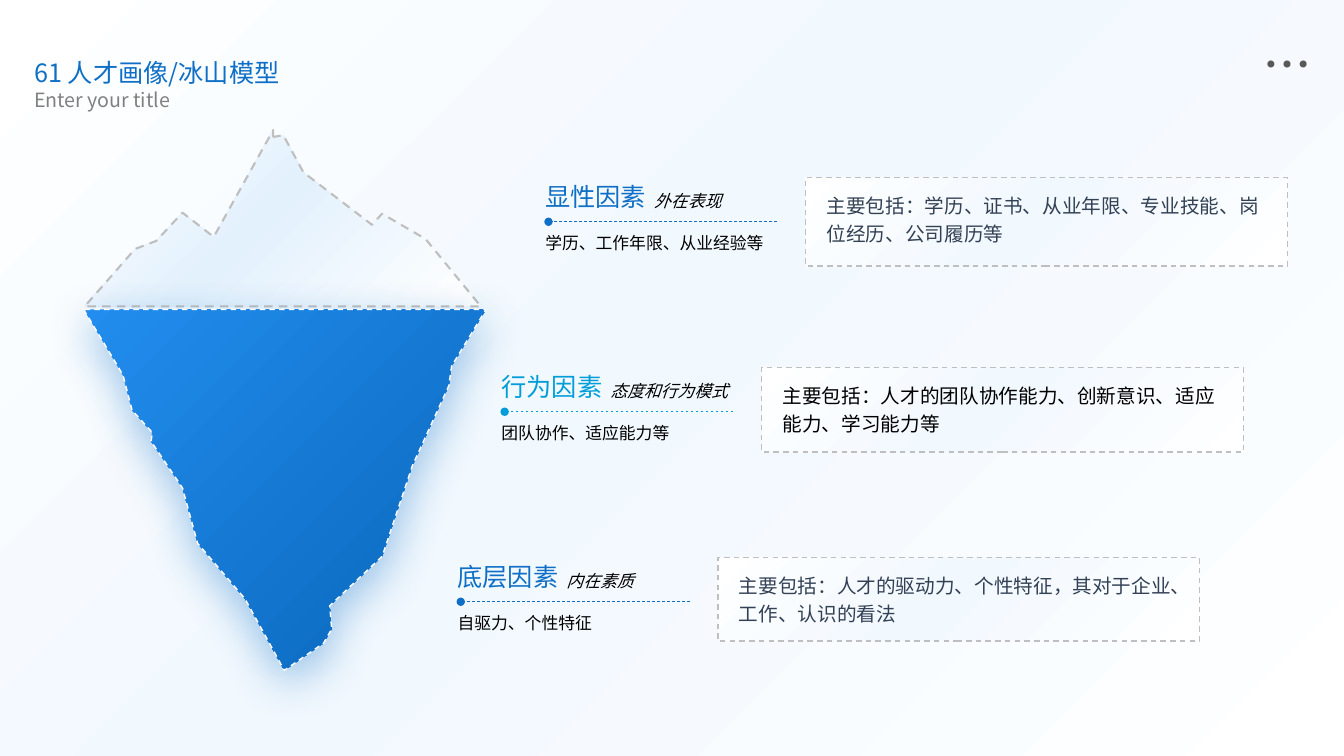
from dataclasses import dataclass

from pptx import Presentation
from pptx.dml.color import RGBColor
from pptx.enum.dml import MSO_LINE_DASH_STYLE as Dash
from pptx.enum.shapes import MSO_CONNECTOR as Connector, MSO_SHAPE as Preset
from pptx.enum.text import MSO_ANCHOR as Anchor, MSO_AUTO_SIZE as AutoSize, PP_ALIGN as Align
from pptx.oxml import parse_xml
from pptx.oxml.ns import qn
from pptx.util import Inches, Pt

NAMESPACE = 'xmlns:a="http://schemas.openxmlformats.org/drawingml/2006/main"'


@dataclass(frozen=True)
class Theme:
    blue: str = "0F6FC6"
    cyan: str = "009DD9"
    bright: str = "228DEE"
    black: str = "000000"
    slate: str = "334155"
    gray: str = "808080"
    dot: str = "595959"
    border: str = "BFBFBF"
    white: str = "FFFFFF"
    pale: str = "F1F8FE"
    ice: str = "E3F1FD"
    cjk: str = "Noto Sans CJK SC"
    latin: str = "Roboto"
    heading: int = 18
    body: int = 14
    small: int = 12


THEME = Theme()
PALE_STOPS = ((0, THEME.white), (46, THEME.pale), (100, THEME.white))
ICE_STOPS = ((0, THEME.white), (46, THEME.ice), (100, THEME.white))
SEA_STOPS = ((23, THEME.blue), (100, THEME.bright))
TOP_LEFT = 'r="100000" b="100000"'
BOTTOM_RIGHT = 'l="100000" t="100000"'

TIP = [(2.71, 1.36), (2.71, 1.29), (2.12, 2.35), (1.81, 2.11), (1.55, 2.39),
       (1.34, 2.47), (0.84, 3.04), (4.77, 3.04), (4.22, 2.37), (3.79, 2.12),
       (3.69, 2.23), (3.01, 1.71), (2.81, 1.34)]
BASE = [(0.83, 3.07), (1.22, 3.72), (1.31, 4.07), (1.51, 4.29), (1.5, 4.38),
        (1.81, 4.84), (1.96, 5.39), (2.43, 5.94), (2.82, 6.65), (3.21, 6.38),
        (3.29, 6.24), (3.27, 6.01), (3.79, 5.52), (4.09, 4.62), (4.45, 3.83),
        (4.48, 3.63), (4.82, 3.07)]

FACTORS = [
    ("显性因素", "外在表现", "学历、工作年限、从业经验等",
     "主要包括：学历、证书、从业年限、专业技能、岗位经历、公司履历等",
     THEME.blue, THEME.latin, THEME.slate, 0.88),
    ("行为因素", "态度和行为模式", "团队协作、适应能力等",
     "主要包括：人才的团队协作能力、创新意识、适应能力、学习能力等",
     THEME.cyan, THEME.cjk, THEME.black, 0.84),
    ("底层因素", "内在素质", "自驱力、个性特征",
     "主要包括：人才的驱动力、个性特征，其对于企业、工作、认识的看法",
     THEME.blue, THEME.latin, THEME.slate, 0.83),
]


def rgb(color):
    return RGBColor.from_string(color)


def fill_gradient(shape, stops, focus):
    marks = "".join(f'<a:gs pos="{position * 1000}"><a:srgbClr val="{color}"/></a:gs>'
                    for position, color in stops)
    gradient = parse_xml(f'<a:gradFill {NAMESPACE} rotWithShape="1"><a:gsLst>{marks}</a:gsLst>'
                         f'<a:path path="circle"><a:fillToRect {focus}/></a:path></a:gradFill>')
    shape.fill.background()
    properties = shape._element.spPr
    properties.replace(properties.find(qn("a:noFill")), gradient)


def dash_line(line, color, width):
    line.color.rgb = rgb(color)
    line.width = Pt(width)
    line.dash_style = Dash.DASH


def add_preset(page, preset, left, top, width, height):
    shape = page.shapes.add_shape(preset, Inches(left), Inches(top), Inches(width), Inches(height))
    shape.shadow.inherit = False
    shape.line.fill.background()
    return shape


def add_outline(page, points, stops, focus, color, width):
    start, *rest = [(Inches(x), Inches(y)) for x, y in points]
    builder = page.shapes.build_freeform(*start)
    builder.add_line_segments(rest, close=True)
    shape = builder.convert_to_shape()
    shape.shadow.inherit = False
    fill_gradient(shape, stops, focus)
    dash_line(shape.line, color, width)
    return shape


def add_glow(shape, color):
    effects = shape._element.spPr.find(qn("a:effectLst"))
    effects.append(parse_xml(
        f'<a:outerShdw {NAMESPACE} blurRad="{Pt(32.4)}" dist="{Pt(9.7)}" dir="5400000" '
        f'algn="t" rotWithShape="0"><a:srgbClr val="{color}"><a:alpha val="40000"/>'
        '</a:srgbClr></a:outerShdw>'))


def write_text(box, text, size, color, font=THEME.cjk, italic=None, wrap=True, spacing=None):
    frame = box.text_frame
    frame.word_wrap = wrap
    frame.auto_size = AutoSize.SHAPE_TO_FIT_TEXT
    frame.vertical_anchor = Anchor.TOP
    para = frame.paragraphs[0]
    para.alignment = Align.LEFT
    para.line_spacing = spacing
    span = para.add_run()
    span.text = text
    span.font.size = Pt(size)
    span.font.italic = italic
    span.font.color.rgb = rgb(color)
    span.font.name = font
    span.font._element.find(qn("a:latin")).addnext(
        parse_xml(f'<a:ea {NAMESPACE} typeface="{font}"/>'))


def add_text(page, left, top, width, height, text, size, color, **style):
    box = page.shapes.add_textbox(Inches(left), Inches(top), Inches(width), Inches(height))
    write_text(box, text, size, color, **style)


def add_label(page, left, top, text, size, color, italic=None):
    width = len(text) * size / 72 + 0.2
    height = 0.4 if size == THEME.heading else 0.3
    add_text(page, left, top, width, height, text, size, color, italic=italic, wrap=False)


def add_rule(page, left, right, top, color):
    rule = page.shapes.add_connector(Connector.STRAIGHT, Inches(right), Inches(top),
                                     Inches(left), Inches(top))
    dash_line(rule.line, color, 0.5)
    rule.line._get_or_add_ln().append(parse_xml(f'<a:tailEnd {NAMESPACE} type="oval"/>'))
    rule._element.spPr.append(parse_xml(f'<a:effectLst {NAMESPACE}/>'))


def add_factor(page, left, top, factor):
    name, aside, note, detail, accent, font, color, height = factor
    add_rule(page, left + 0.13, left + 2.4, top + 0.45, accent)
    add_label(page, left, top, name, THEME.heading, accent)
    add_label(page, left, top + 0.51, note, THEME.small, THEME.black)
    add_label(page, left + 1.08, top + 0.09, aside, THEME.small, THEME.black, italic=True)
    card = add_preset(page, Preset.RECTANGLE, left + 2.68, top + 0.01, 4.78, height)
    fill_gradient(card, PALE_STOPS, TOP_LEFT)
    dash_line(card.line, THEME.border, 1)
    add_text(page, left + 2.79, top + 0.08, 4.67, 0.65, detail, THEME.body, color,
             font=font, spacing=1.2)


def add_header(page):
    title = page.shapes.title
    title.left, title.top = Inches(0.24), Inches(0.52)
    title.width, title.height = Inches(6.77), Inches(0.4)
    write_text(title, "61 人才画像/冰山模型", THEME.heading, THEME.blue)
    page.shapes._spTree.append(title._element)
    add_text(page, 0.24, 0.82, 2.86, 0.34, "Enter your title", THEME.body, THEME.gray)
    for index in range(3):
        dot = add_preset(page, Preset.OVAL, 12.57 + 0.16 * index, 0.6, 0.07, 0.07)
        dot.fill.solid()
        dot.fill.fore_color.rgb = rgb(THEME.dot)


def main():
    deck = Presentation()
    deck.slide_width, deck.slide_height = Inches(13.33), Inches(7.5)
    page = deck.slides.add_slide(deck.slide_layouts[5])
    backdrop = add_preset(page, Preset.RECTANGLE, 0, 0, 13.35, 7.5)
    fill_gradient(backdrop, PALE_STOPS, TOP_LEFT)
    add_header(page)
    add_outline(page, TIP, ICE_STOPS, TOP_LEFT, THEME.border, 1.5)
    base = add_outline(page, BASE, SEA_STOPS, BOTTOM_RIGHT, THEME.white, 1)
    add_glow(base, THEME.blue)
    for index, factor in enumerate(FACTORS):
        add_factor(page, 5.31 - 0.435 * index, 1.75 + 1.885 * index, factor)
    deck.save("out.pptx")


if __name__ == "__main__":
    main()
